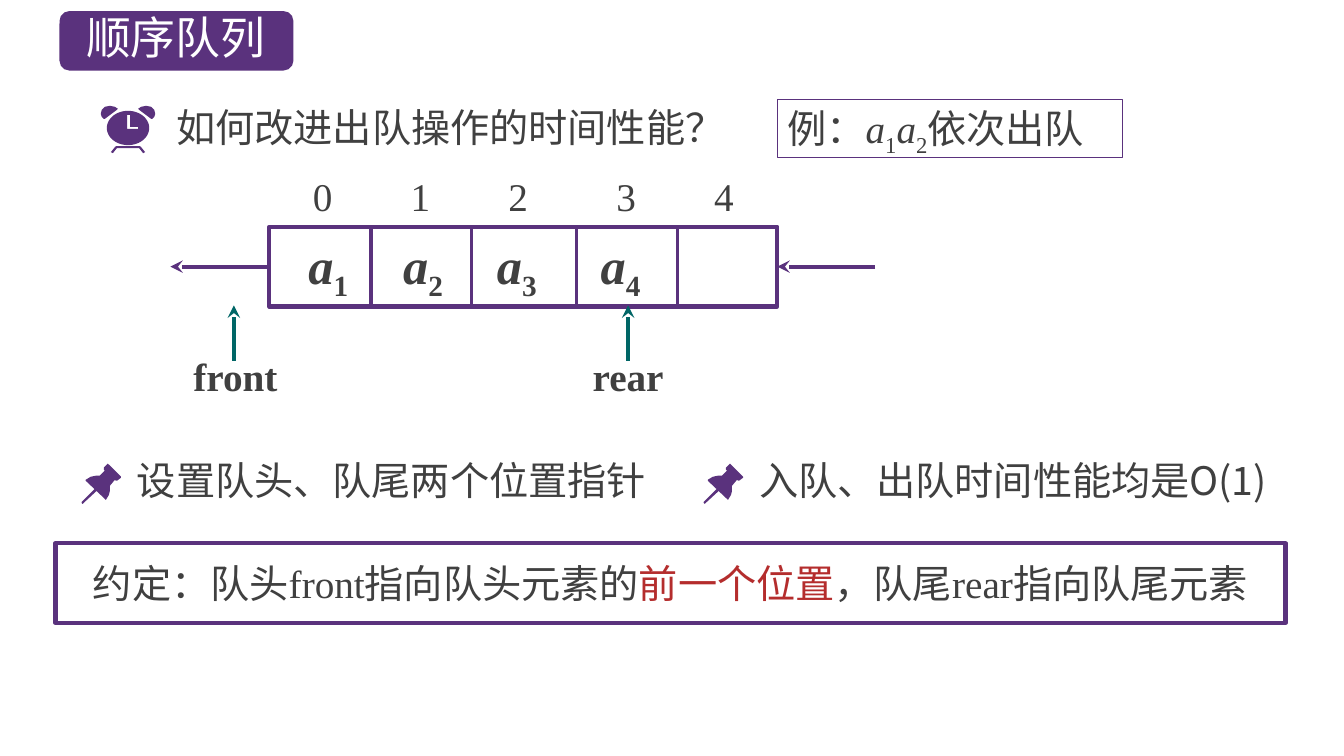
import math

from lxml import etree
from pptx import Presentation
from pptx.dml.color import RGBColor
from pptx.enum.shapes import MSO_CONNECTOR, MSO_SHAPE
from pptx.enum.text import MSO_ANCHOR, PP_ALIGN
from pptx.oxml.ns import qn
from pptx.util import Inches, Pt

STRAIGHT = MSO_CONNECTOR.STRAIGHT
RECTANGLE = MSO_SHAPE.RECTANGLE
ROUNDED = MSO_SHAPE.ROUNDED_RECTANGLE
LEFT, CENTER = PP_ALIGN.LEFT, PP_ALIGN.CENTER
TOP, MIDDLE = MSO_ANCHOR.TOP, MSO_ANCHOR.MIDDLE

PURPLE, TEAL, RED, GRAY, WHITE = "5A327D", "006666", "B42D2D", "404040", "FFFFFF"
SANS, SERIF = "Noto Sans CJK SC", "Times New Roman"
LEFT_SIDE, RIGHT_SIDE = 1, 3

# Icon outlines, in inches from the icon's top left corner
CLOCK_WIDTH = 0.54
CLOCK_EAR = [(0.09, 0), (0.04, 0.01), (0.01, 0.04), (0, 0.08), (0.01, 0.11), (0.03, 0.13),
             (0.04, 0.13), (0.16, 0.04), (0.17, 0.03), (0.14, 0.01)]
CLOCK_FACE = [(0.27 + 0.21 * math.cos(math.radians(angle)),
               0.22 + 0.17 * math.sin(math.radians(angle))) for angle in range(0, 360, 6)]
CLOCK_HANDS = [(0.26, 0.09), (0.29, 0.09), (0.29, 0.21), (0.37, 0.21), (0.37, 0.23), (0.26, 0.23)]
CLOCK_LEGS = [(0.14, 0.41), (0.15, 0.4), (0.39, 0.4), (0.4, 0.41), (0.44, 0.46), (0.42, 0.47),
              (0.38, 0.42), (0.16, 0.42), (0.12, 0.47), (0.1, 0.46)]
PIN_HEAD = [(0.39, 0.13), (0.27, 0.01), (0.26, 0), (0.22, 0.04), (0.22, 0.06), (0.23, 0.07),
            (0.18, 0.12), (0.14, 0.12), (0.09, 0.13), (0.04, 0.16), (0.04, 0.17), (0.23, 0.35),
            (0.24, 0.36), (0.27, 0.31), (0.28, 0.27), (0.28, 0.22), (0.33, 0.16), (0.34, 0.17),
            (0.35, 0.17), (0.39, 0.14)]
PIN_NEEDLE = [(0, 0.39), (0, 0.38), (0.13, 0.25), (0.15, 0.24), (0.16, 0.25), (0.15, 0.27),
              (0.02, 0.39), (0.01, 0.4)]


def color(value):
    return RGBColor.from_string(value)


def write(shape, parts, size=28, font=SERIF, text_color=GRAY, bold=False, align=LEFT, anchor=TOP):
    """Fill one paragraph; each part is (text, style), style being "", "italic", "sub" or a colour."""
    frame = shape.text_frame
    frame.word_wrap = True
    frame.vertical_anchor = anchor
    paragraph = frame.paragraphs[0]
    paragraph.alignment = align
    paragraph.font.size = Pt(size)
    paragraph.font.name = font
    paragraph.font.bold = bold
    paragraph.font.color.rgb = color(text_color)
    defaults = paragraph.font._element
    etree.SubElement(defaults, qn("a:ea")).set("typeface", SANS)
    for text, style in parts:
        run = paragraph.add_run()
        run.text = text
        if style == "italic":
            run.font.italic = True
        elif style == "sub":
            run.font._element.set("baseline", "-25000")
        elif style:
            run.font.color.rgb = color(style)


def add_text(slide, left, top, width, height, parts, **style):
    box = slide.shapes.add_textbox(Inches(left), Inches(top), Inches(width), Inches(height))
    write(box, parts, **style)


def add_box(slide, kind, left, top, width, height, fill=None, line_width=None):
    shape = slide.shapes.add_shape(kind, Inches(left), Inches(top), Inches(width), Inches(height))
    shape.shadow.inherit = False
    if fill:
        shape.fill.solid()
        shape.fill.fore_color.rgb = color(fill)
    else:
        shape.fill.background()
    if line_width:
        shape.line.color.rgb = color(PURPLE)
        shape.line.width = Pt(line_width)
    else:
        shape.line.fill.background()
    return shape


def add_line(slide, start, end, line_color=PURPLE, width=3.0, arrow=True):
    points = [Inches(value) for value in (*start, *end)]
    connector = slide.shapes.add_connector(STRAIGHT, *points)
    connector.line.color.rgb = color(line_color)
    connector.line.width = Pt(width)
    if arrow:
        line = connector.line._get_or_add_ln()
        etree.SubElement(line, qn("a:tailEnd")).set("type", "stealth")
    etree.SubElement(connector._element.spPr, qn("a:effectLst"))
    return connector


def add_outline(slide, left, top, *contours):
    placed = [[(Inches(left + x), Inches(top + y)) for x, y in contour] for contour in contours]
    builder = slide.shapes.build_freeform(*placed[0][0], scale=1.0)
    builder.add_line_segments(placed[0][1:], close=True)
    for contour in placed[1:]:
        builder.move_to(*contour[0])
        builder.add_line_segments(contour[1:], close=True)
    shape = builder.convert_to_shape()
    shape.shadow.inherit = False
    shape.fill.solid()
    shape.fill.fore_color.rgb = color(PURPLE)
    shape.line.fill.background()


def add_title(slide, left, top, width, height):
    add_box(slide, ROUNDED, left, top, width, height, fill=PURPLE)
    add_text(slide, left + 0.12, top - 0.06, width - 0.25, 0.64, [("顺序队列", "")],
             size=32, font=SANS, text_color=WHITE, align=CENTER)


def add_question(slide, left, top):
    # Alarm clock
    right_ear = [(CLOCK_WIDTH - x, y) for x, y in CLOCK_EAR]
    for contours in ([CLOCK_LEGS], [CLOCK_EAR], [right_ear], [CLOCK_FACE, CLOCK_HANDS]):
        add_outline(slide, left, top, *contours)
    add_text(slide, left + 0.65, top - 0.07, 6.01, 0.57,
             [("如何改进出队操作的时间性能？", "")], font=SANS)


def add_example(slide, left, top, width, height):
    box = add_box(slide, RECTANGLE, left, top, width, height, line_width=0.75)
    write(box, [("例：", ""), ("a", "italic"), ("1", "sub"), ("a", "italic"), ("2", "sub"),
                ("依次出队", "")])


def add_pointer(slide, center, top, name, label_left):
    add_line(slide, (center, top + 0.55), (center, top), TEAL)
    add_text(slide, label_left, top + 0.42, 1.13, 0.57, [(name, "")], bold=True)


def add_queue(slide, left, top, width, height):
    frame = add_box(slide, RECTANGLE, left, top, width, height, line_width=3)
    for offset in (1.01, 2.01, 3.05, 4.05):
        x = left + offset
        add_line(slide, (x, top), (x, top + height), width=2.25, arrow=False)
    # Indexes above the cells
    for index, offset in enumerate((0.53, 1.5, 2.47, 3.54, 4.51)):
        add_text(slide, left + offset - 0.25, top - 0.59, 0.5, 0.57, [(str(index), "")],
                 align=CENTER)
    # Elements
    for number, offset in enumerate((0.29, 1.23, 2.16, 3.19), start=1):
        add_text(slide, left + offset, top + 0.02, 0.64, 0.7,
                 [("a", "italic"), (str(number), "sub")], size=36, bold=True)
    # Arrows out of and into the queue
    middle, right = top + height / 2, left + width
    leaving = add_line(slide, (left, middle), (left - 0.98, middle))
    leaving.begin_connect(frame, LEFT_SIDE)
    entering = add_line(slide, (right + 0.97, middle), (right, middle))
    entering.end_connect(frame, RIGHT_SIDE)
    # Position pointers
    add_pointer(slide, left - 0.35, top + 0.78, "front", left - 0.85)
    add_pointer(slide, left + 3.56, top + 0.78, "rear", left + 3.11)


def add_pinned_note(slide, left, top, text):
    for contour in (PIN_HEAD, PIN_NEEDLE):
        add_outline(slide, left, top, contour)
    add_text(slide, left + 0.45, top - 0.12, 5.56, 0.57, [(text, "")], font=SANS)


def add_convention(slide, left, top, width, height):
    box = add_box(slide, RECTANGLE, left, top, width, height, line_width=3)
    write(box, [("约定：队头front指向队头元素的", ""), ("前一个位置", RED),
                ("，队尾rear指向队尾元素", "")], align=CENTER, anchor=MIDDLE)


def main():
    presentation = Presentation()
    presentation.slide_width = Inches(13.33)
    presentation.slide_height = Inches(7.5)
    slide = presentation.slides.add_slide(presentation.slide_layouts[6])
    add_title(slide, 0.59, 0.11, 2.32, 0.59)
    add_question(slide, 1, 1.05)
    add_example(slide, 7.71, 0.99, 3.42, 0.57)
    add_queue(slide, 2.67, 2.25, 5.04, 0.79)
    add_pinned_note(slide, 0.81, 4.6, "设置队头、队尾两个位置指针")
    add_pinned_note(slide, 6.98, 4.6, "入队、出队时间性能均是O(1)")
    add_convention(slide, 0.55, 5.39, 12.2, 0.79)
    presentation.save("out.pptx")


if __name__ == "__main__":
    main()
